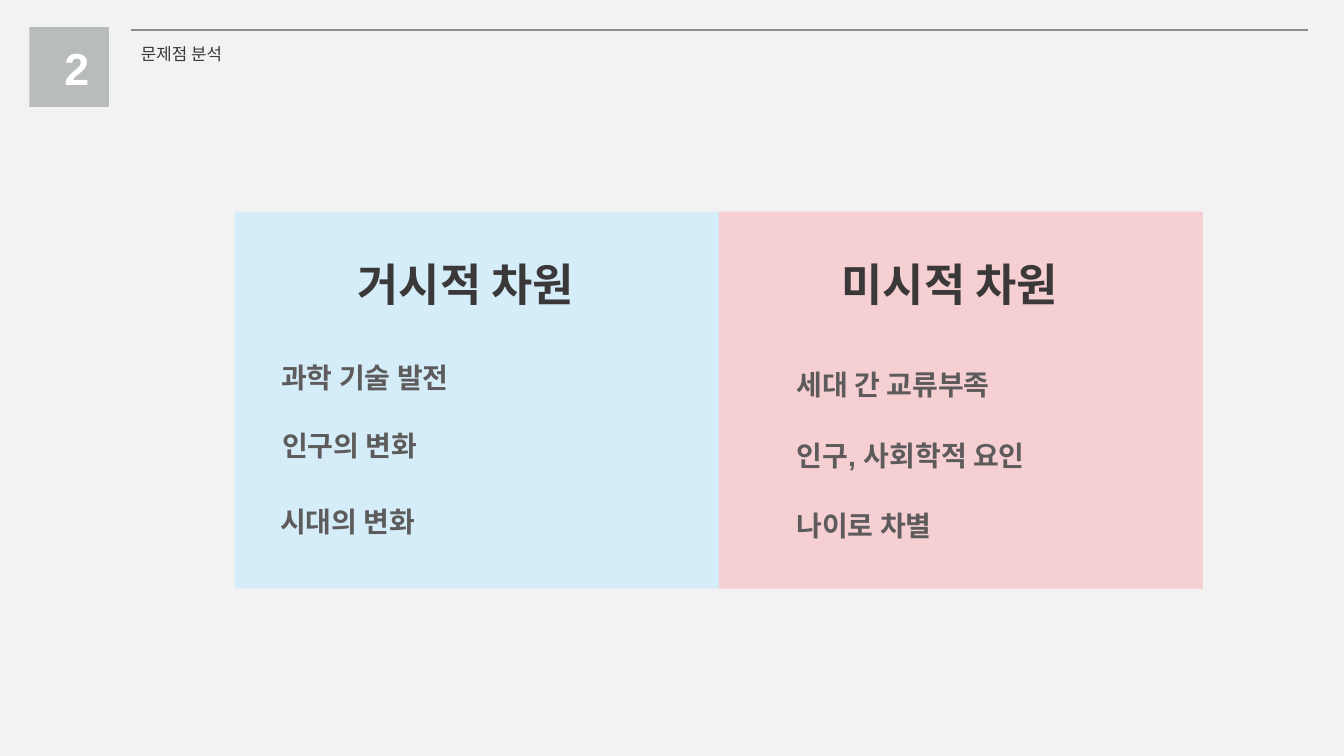
from dataclasses import dataclass

from lxml import etree
from pptx import Presentation
from pptx import util as u
from pptx.dml.color import RGBColor
from pptx.enum import shapes, text
from pptx.oxml.ns import qn


@dataclass(frozen=True)
class Theme:
    font: str = "Arial"
    background: str = "F2F2F2"
    rule: str = "898F8D"
    badge: str = "B8BCBB"
    white: str = "FFFFFF"
    heading: str = "3A3838"
    body: str = "5D5B5B"
    macro: str = "CAECFB"
    micro: str = "F8C1C5"
    small: int = 12
    medium: int = 20
    large: int = 32


class SlideBuilder:
    """Places elements on a grid whose square cells are a tenth of an inch."""

    CELL = u.Inches(0.1)

    def __init__(self, slide, theme):
        self.slide = slide
        self.theme = theme
        fill = slide.background.fill
        fill.solid()
        fill.fore_color.rgb = RGBColor.from_string(theme.background)

    def cells(self, *counts):
        return [round(count * self.CELL) for count in counts]

    def rule(self, left, top, right):
        line = self.slide.shapes.add_connector(
            shapes.MSO_CONNECTOR.STRAIGHT, *self.cells(left, top, right, top))
        line.line.color.rgb = RGBColor.from_string(self.theme.rule)
        line.line.width = u.Pt(1.5)
        etree.SubElement(line._element.spPr, qn("a:effectLst"))

    def block(self, left, top, width, height, color, opacity=100):
        shape = self.slide.shapes.add_shape(
            shapes.MSO_SHAPE.RECTANGLE, *self.cells(left, top, width, height))
        shape.shadow.inherit = False
        shape.line.fill.background()
        shape.fill.solid()
        shape.fill.fore_color.rgb = RGBColor.from_string(color)
        if opacity < 100:
            fill_color = shape._element.spPr.find(qn("a:solidFill"))[0]
            etree.SubElement(fill_color, qn("a:alpha"), val=str(opacity * 1000))

    def label(self, left, top, width, height, words, size, color,
              bold=True, wrap=False, align=text.PP_ALIGN.LEFT):
        shape = self.slide.shapes.add_textbox(*self.cells(left, top, width, height))
        frame = shape.text_frame
        frame.word_wrap = wrap
        frame.auto_size = text.MSO_AUTO_SIZE.SHAPE_TO_FIT_TEXT
        paragraph = frame.paragraphs[0]
        paragraph.alignment = align
        run = paragraph.add_run()
        run.text = words
        formats = {"name": self.theme.font, "size": u.Pt(size), "bold": bold}
        for name, value in formats.items():
            setattr(run.font, name, value)
        run.font.color.rgb = RGBColor.from_string(color)

    def header(self, number, title):
        theme = self.theme
        self.rule(13, 3, 129.7)
        self.block(2.9, 2.7, 7.9, 7.9, theme.badge)
        self.label(5.4, 3.5, 2.8, 6.4, number, theme.large, theme.white,
                   wrap=True, align=text.PP_ALIGN.CENTER)
        self.label(13, 3.8, 10.9, 3, title, theme.small, theme.heading, bold=False)

    def panel(self, left, color, title, items):
        """Draws a tinted panel; each item is (left, top, width, words)."""
        theme = self.theme
        self.block(left, 21, 48, 37.4, color, opacity=70)
        self.label(left + 11.2, 25, 25.7, 6.4, title, theme.large, theme.heading)
        for item_left, top, width, words in items:
            self.label(item_left, top, width, 4.4, words, theme.medium, theme.body)


def main():
    presentation = Presentation()
    presentation.slide_width = u.Inches(13.33)
    presentation.slide_height = u.Inches(7.5)
    slide = presentation.slides.add_slide(presentation.slide_layouts[6])
    theme = Theme()
    builder = SlideBuilder(slide, theme)

    builder.header("2", "문제점 분석")
    builder.panel(23.3, theme.macro, "거시적 차원", [
        (26.9, 35.3, 20.4, "과학 기술 발전"),
        (27, 42, 16.8, "인구의 변화"),
        (26.8, 49.6, 16.8, "시대의 변화"),
    ])
    builder.panel(71.3, theme.micro, "미시적 차원", [
        (78, 36, 23.2, "세대 간 교류부족"),
        (78, 43, 26.8, "인구, 사회학적 요인"),
        (78, 50, 16.8, "나이로 차별"),
    ])
    presentation.save("out.pptx")


if __name__ == "__main__":
    main()
